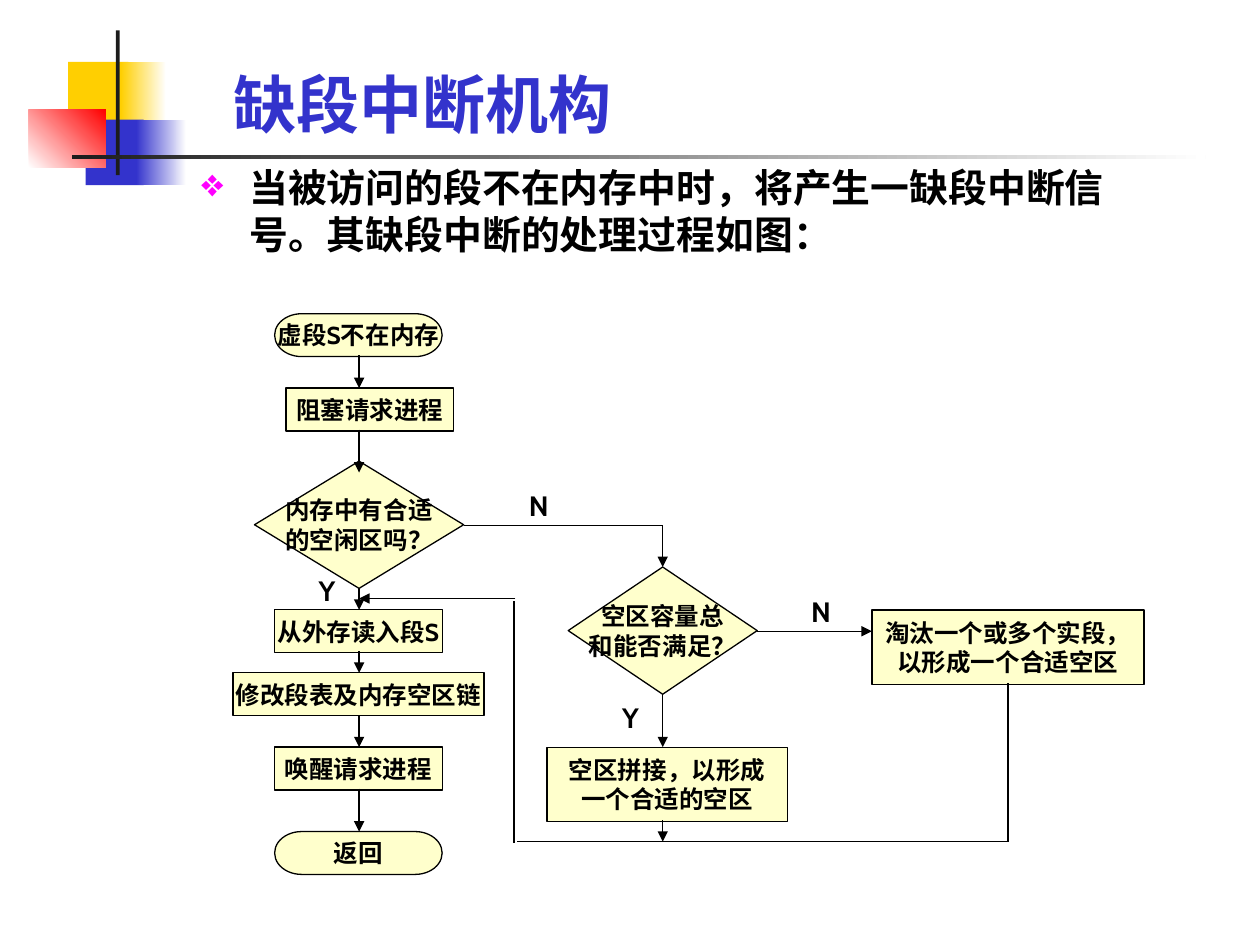
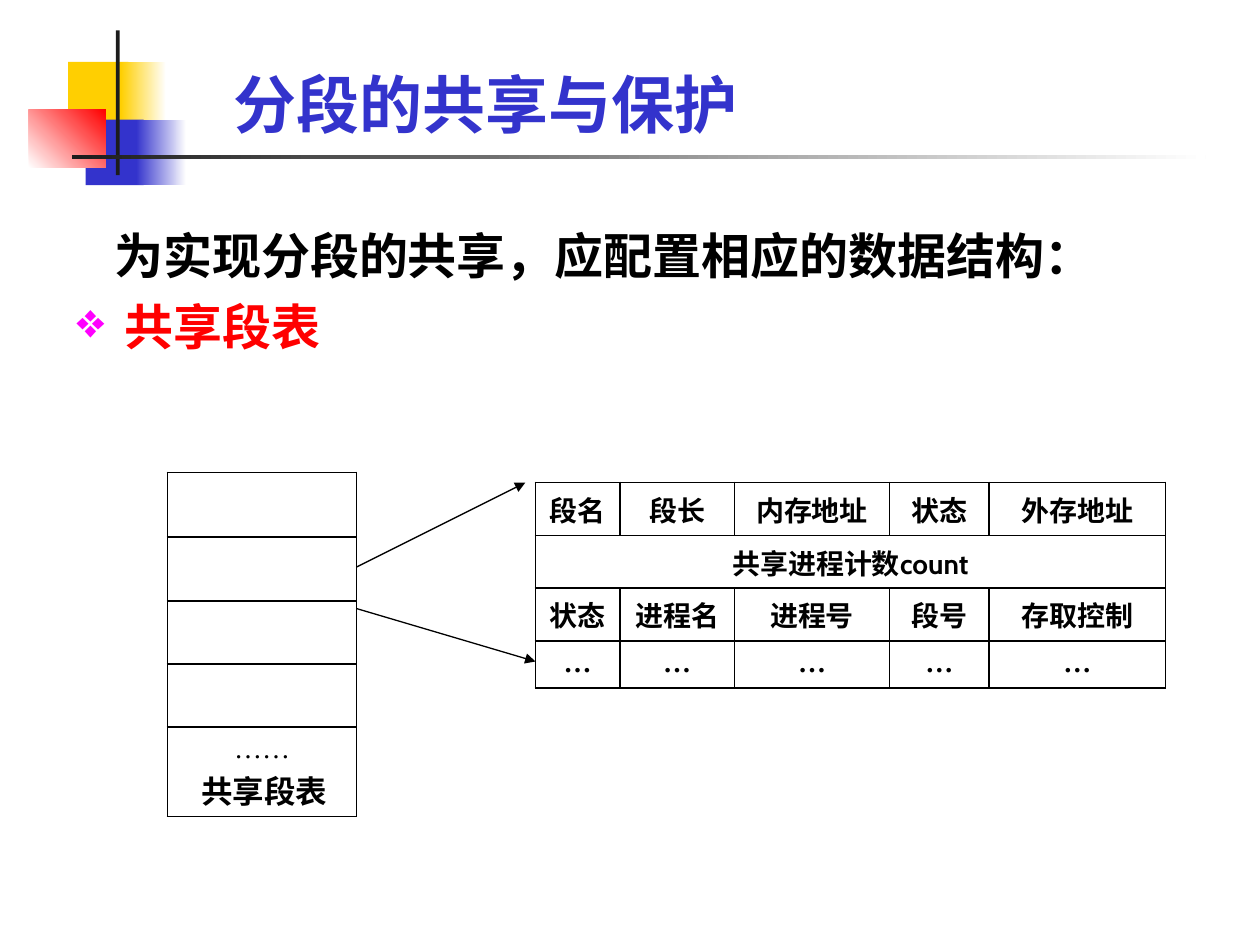
from lxml import etree
from pptx import Presentation
from pptx import util as u
from pptx.dml import color as dml
from pptx.enum import shapes, text
from pptx.oxml import ns

COLORS = {"ink": "000000", "white": "FFFFFF", "blue": "3333CC", "yellow": "FFCF01",
          "red": "FF0000", "dark": "1C1C1C", "cream": "FFFFCC", "magenta": "FF00FF"}
LATIN, CJK, SERIF = "Cabin", "Noto Sans CJK SC", "Times New Roman"
CENTER = text.PP_ALIGN.CENTER
MIDDLE, TOP, BOTTOM = (text.MSO_ANCHOR.MIDDLE, text.MSO_ANCHOR.TOP, text.MSO_ANCHOR.BOTTOM)

# Box, then one colour or the two ends of a gradient, then the gradient angle
DECORATION = [
    ((0.54, 0.49, 0.48, 0.52), ["yellow"], 0),
    ((0.96, 0.49, 0.36, 0.52), ["yellow", "white"], 0),
    ((0.68, 0.95, 0.46, 0.52), ["blue"], 0),
    ((1.08, 0.95, 0.40, 0.52), ["blue", "white"], 0),
    ((0.23, 0.87, 0.61, 0.46), ["white", "red"], 45),
    ((0.92, 0.24, 0.03, 1.15), ["dark"], 0),
    ((0.57, 1.23, 9.00, 0.03), ["dark", "white"], 0),
]
TITLE_BOX = (1.75, 0.32, 6.24, 0.85)

FAULT_TITLE = "缺段中断机构"
FAULT_INTRO = "当被访问的段不在内存中时，将产生一缺段中断信号。其缺段中断的处理过程如图："
END = shapes.MSO_SHAPE.FLOWCHART_TERMINATOR
STEP = shapes.MSO_SHAPE.FLOWCHART_PROCESS
TEST = shapes.MSO_SHAPE.FLOWCHART_DECISION
FLOW_NODES = [
    (END, (2.18, 2.49, 1.33, 0.34), ["虚段S不在内存"]),
    (STEP, (2.27, 3.08, 1.33, 0.34), ["阻塞请求进程"]),
    (TEST, (2.02, 3.66, 1.66, 1.01), ["内存中有合适", "的空闲区吗？"]),
    (STEP, (2.18, 4.84, 1.33, 0.34), ["从外存读入段S"]),
    (STEP, (1.85, 5.34, 1.99, 0.34), ["修改段表及内存空区链"]),
    (STEP, (2.18, 5.93, 1.33, 0.34), ["唤醒请求进程"]),
    (END, (2.18, 6.60, 1.33, 0.34), ["返回"]),
    (TEST, (4.51, 4.50, 1.50, 1.01), ["空区容量总", "和能否满足？"]),
    (STEP, (4.34, 5.93, 1.91, 0.59), ["空区拼接，以形成", "一个合适的空区"]),
    (STEP, (6.92, 4.84, 2.16, 0.59), ["淘汰一个或多个实段，", "以形成一个合适空区"]),
]
MAIN_X, MERGE_X = 2.85, 5.26
MAIN_ARROWS = [(2.82, 3.08), (3.41, 3.75), (4.67, 4.84), (5.17, 5.34), (5.68, 5.93), (6.26, 6.60)]
MERGE_ARROWS = [(4.17, 4.50), (5.51, 5.93), (6.51, 6.68)]
SIDE_ARROWS = [((6.01, 5.01), (6.92, 5.01)), ((4.09, 4.75), (MAIN_X, 4.75))]
PLAIN_LINES = [((3.68, 4.17), (MERGE_X, 4.17)), ((8, 5.42), (8, 6.68)),
               ((8, 6.68), (4.1, 6.68)), ((4.08, 6.69), (4.08, 4.77))]
BRANCH_LABELS = [("N", 4.10, 3.83), ("N", 6.34, 4.67), ("Y", 2.43, 4.50), ("Y", 4.84, 5.51)]

SHARE_TITLE = "分段的共享与保护"
SHARE_INTRO = "为实现分段的共享，应配置相应的数据结构："
SHARE_TABLE = "共享段表"
SEGMENT_ROWS = [[""], [""], [""], [""], ["……"]]
SEGMENT_HEIGHTS = [0.51, 0.51, 0.5, 0.5, 0.71]
ENTRY_ROWS = [
    ["段名", "段长", "内存地址", "状态", "外存地址"],
    ["共享进程计数count"],
    ["状态", "进程名", "进程号", "段号", "存取控制"],
    ["…"] * 5,
]
ENTRY_WIDTHS = [0.67, 0.91, 1.23, 0.79, 1.4]
ENTRY_HEIGHTS = [0.42, 0.42, 0.42, 0.37]
ENTRY_ARROWS = [((2.83, 4.5), (4.17, 3.83)), ((2.83, 4.83), (4.25, 5.25))]


def rgb(name):
    return dml.RGBColor.from_string(COLORS[name])


def inches(values):
    return [u.Inches(value) for value in values]


def write(paragraph, content, size=14, font=LATIN, east=None, color="ink", bold=True, align=None):
    run = paragraph.add_run()
    run.text = content
    run.font.size = u.Pt(size)
    run.font.bold = bold
    run.font.name = font
    run.font.color.rgb = rgb(color)
    east_asian = etree.SubElement(run.font._element, ns.qn("a:ea"))
    east_asian.set("typeface", east or font)
    paragraph.alignment = align


def indent(paragraph, margin, hanging=0, bullet=None):
    properties = paragraph._p.get_or_add_pPr()
    properties.set("marL", str(u.Inches(margin)))
    properties.set("indent", str(-u.Inches(hanging)))
    if bullet:
        tint = etree.SubElement(properties, ns.qn("a:buClr"))
        etree.SubElement(tint, ns.qn("a:srgbClr")).set("val", COLORS["magenta"])
        etree.SubElement(properties, ns.qn("a:buChar")).set("char", bullet)


def add_text_box(slide, box):
    frame = slide.shapes.add_textbox(*inches(box)).text_frame
    frame.word_wrap = True
    return frame


def add_shape(slide, kind, box):
    shape = slide.shapes.add_shape(kind, *inches(box))
    shape.shadow.inherit = False
    return shape


def add_line(slide, start, end, arrow=False):
    line = slide.shapes.add_connector(shapes.MSO_CONNECTOR.STRAIGHT, *inches(start + end))
    line.line.color.rgb = rgb("ink")
    line.line.width = u.Pt(0.75)
    if arrow:
        etree.SubElement(line.line._get_or_add_ln(), ns.qn("a:tailEnd")).set("type", "triangle")
    etree.SubElement(line._element.spPr, ns.qn("a:effectLst"))


def add_node(slide, kind, box, lines):
    node = add_shape(slide, kind, box)
    node.fill.solid()
    node.fill.fore_color.rgb = rgb("cream")
    node.line.color.rgb = rgb("ink")
    node.line.width = u.Pt(0.75)
    frame = node.text_frame
    frame.word_wrap = False
    frame.vertical_anchor = MIDDLE
    for index, content in enumerate(lines):
        paragraph = frame.add_paragraph() if index else frame.paragraphs[0]
        write(paragraph, content, align=CENTER)


def set_borders(cell):
    properties = cell._tc.get_or_add_tcPr()
    for side in ("lnL", "lnR", "lnT", "lnB"):
        border = etree.SubElement(properties, ns.qn("a:" + side))
        border.set("w", str(u.Pt(1.08)))
        fill = etree.SubElement(border, ns.qn("a:solidFill"))
        etree.SubElement(fill, ns.qn("a:srgbClr")).set("val", COLORS["ink"])


def add_grid(slide, left, top, widths, heights, rows, bold):
    """Add a bordered table; a row with a single text spans every column."""
    box = inches((left, top, sum(widths), sum(heights)))
    table = slide.shapes.add_table(len(heights), len(widths), *box).table
    table.first_row = table.horz_banding = False
    for column, width in zip(table.columns, widths):
        column.width = u.Inches(width)
    for row, height in zip(table.rows, heights):
        row.height = u.Inches(height)
    for cell in table.iter_cells():
        set_borders(cell)
        cell.fill.background()
    for row, contents in enumerate(rows):
        if len(contents) < len(widths):
            table.cell(row, 0).merge(table.cell(row, len(widths) - 1))
        for column, content in enumerate(contents):
            if not content:
                continue
            dots = content.startswith("…")
            write(table.cell(row, column).text_frame.paragraphs[0], content, size=16,
                  font=SERIF if dots else LATIN, east=SERIF if dots else CJK,
                  bold=bold, align=CENTER)


def add_slide(presentation, title):
    slide = presentation.slides.add_slide(presentation.slide_layouts[5])
    for box, colors, angle in DECORATION:
        block = add_shape(slide, shapes.MSO_SHAPE.RECTANGLE, box)
        block.line.fill.background()
        if len(colors) == 1:
            block.fill.solid()
            block.fill.fore_color.rgb = rgb(colors[0])
        else:
            block.fill.gradient()
            block.fill.gradient_angle = angle
            for stop, color in zip(block.fill.gradient_stops, colors):
                stop.color.rgb = rgb(color)
    holder = slide.shapes.title
    holder.left, holder.top, holder.width, holder.height = inches(TITLE_BOX)
    frame = holder.text_frame
    frame.auto_size = text.MSO_AUTO_SIZE.NONE
    frame.vertical_anchor = BOTTOM
    write(frame.paragraphs[0], title, size=36, font=CJK, color="blue", align=text.PP_ALIGN.LEFT)
    return slide


def build_fault_slide(presentation):
    slide = add_slide(presentation, FAULT_TITLE)
    intro = add_text_box(slide, (1.5, 1.25, 7.6, 0.86)).paragraphs[0]
    indent(intro, 0.38, hanging=0.38, bullet="❖")
    write(intro, FAULT_INTRO, size=22.2)
    for kind, box, lines in FLOW_NODES:
        add_node(slide, kind, box, lines)
    for x, spans in ((MAIN_X, MAIN_ARROWS), (MERGE_X, MERGE_ARROWS)):
        for start, end in spans:
            add_line(slide, (x, start), (x, end), arrow=True)
    for start, end in SIDE_ARROWS:
        add_line(slide, start, end, arrow=True)
    for start, end in PLAIN_LINES:
        add_line(slide, start, end)
    for label, left, top in BRANCH_LABELS:
        write(add_text_box(slide, (left, top, 0.33, 0.37)).paragraphs[0], label, size=16)


def build_share_slide(presentation):
    slide = add_slide(presentation, SHARE_TITLE)
    frame = add_text_box(slide, (0.51, 1.74, 9.06, 1.46))
    intro, item = frame.paragraphs[0], frame.add_paragraph()
    indent(intro, 0.3)
    write(intro, SHARE_INTRO, size=28, font=CJK)
    indent(item, 0.38, hanging=0.38, bullet="❖")
    item.space_before = u.Pt(7)
    write(item, SHARE_TABLE, size=28, font=CJK, color="red")
    add_grid(slide, 1.33, 3.75, [1.5], SEGMENT_HEIGHTS, SEGMENT_ROWS, bold=False)
    add_grid(slide, 4.25, 3.83, ENTRY_WIDTHS, ENTRY_HEIGHTS, ENTRY_ROWS, bold=True)
    for start, end in ENTRY_ARROWS:
        add_line(slide, start, end, arrow=True)
    caption = add_text_box(slide, (1.5, 6.08, 1.42, 0.4))
    caption.vertical_anchor = TOP
    write(caption.paragraphs[0], SHARE_TABLE, size=18)


def main():
    presentation = Presentation()
    presentation.slide_width, presentation.slide_height = inches((10, 7.5))
    build_fault_slide(presentation)
    build_share_slide(presentation)
    presentation.save("out.pptx")


if __name__ == "__main__":
    main()
